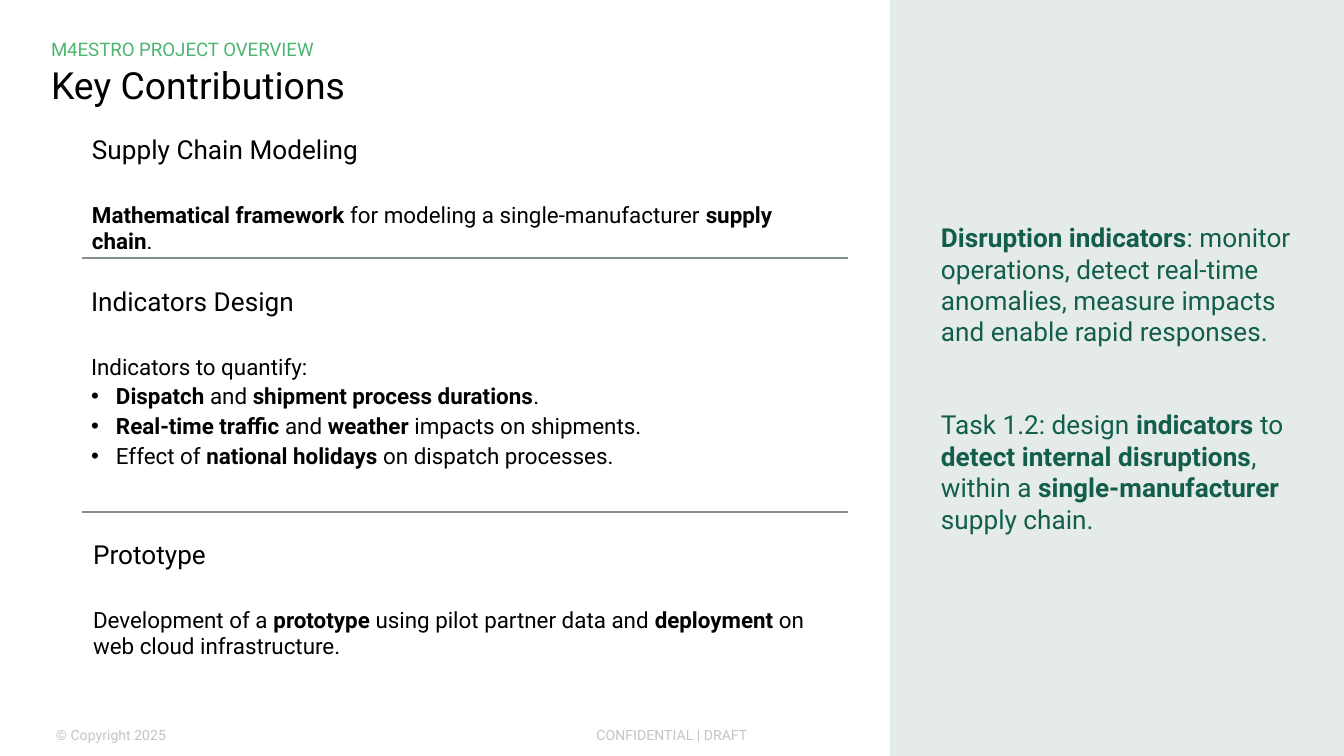
from lxml.etree import SubElement
from pptx import Presentation
from pptx.dml.color import RGBColor
from pptx.enum.shapes import MSO_CONNECTOR, MSO_SHAPE
from pptx.enum.text import MSO_ANCHOR, MSO_AUTO_SIZE, PP_ALIGN
from pptx.oxml.ns import qn
from pptx.util import Pt

WIDE, HIGH = 1344, 756
SCALE = 9144000 / WIDE
BLACK, GREY, GREEN, DARK, PALE = "000000", "838E8D", "4CB571", "125E4B", "E5EBE9"
PARTS = [
    ((82, 132, 766, 101), "Supply Chain Modeling",
     "**Mathematical framework** for modeling a single-manufacturer **supply chain**.", []),
    ((81, 284, 769, 204), "Indicators Design", "Indicators to quantify:", [
        "**Dispatch** and **shipment process durations**.",
        "**Real-time traffic** and **weather** impacts on shipments.",
        "Effect of **national holidays** on dispatch processes."]),
    ((83, 537, 769, 145), "Prototype",
     "Development of a **prototype** using pilot partner data and "
     "**deployment** on web cloud infrastructure.", []),
]
SIDE = [
    "**Disruption indicators**: monitor operations, detect real-time anomalies, "
    "measure impacts and enable rapid responses.",
    "Task 1.2: design **indicators** to **detect internal disruptions**, "
    "within a **single-manufacturer** supply chain.",
]


def px(size):
    """Turn px into EMU."""
    return round(size * SCALE)


def tint(code):
    """Turn a hex string into a colour."""
    return RGBColor.from_string(code)


def frame(shape, pad, anchor=MSO_ANCHOR.MIDDLE):
    """Set the insets and anchor of a shape and return its text frame."""
    body = shape.text_frame
    body.word_wrap = True
    body.auto_size = MSO_AUTO_SIZE.NONE
    body.vertical_anchor = anchor
    body.margin_left, body.margin_top, body.margin_right, body.margin_bottom = map(px, pad)
    return body


def write(body, text, size=12, color=BLACK, align=PP_ALIGN.LEFT, lead=1.0,
          after=0, bullet=False, alpha=None):
    """Add a paragraph in which ** marks off bold runs."""
    first = body.paragraphs[0]
    para = body.add_paragraph() if first.runs else first
    para.alignment, para.line_spacing = align, lead
    para.space_before, para.space_after = Pt(0), Pt(after)
    if bullet:
        props = para._p.get_or_add_pPr()
        props.set("marL", str(px(25)))
        props.set("indent", str(-px(25)))
        ink = SubElement(props, qn("a:buClr"))
        SubElement(ink, qn("a:srgbClr")).set("val", color)
        SubElement(props, qn("a:buFont")).set("typeface", "Arial")
        SubElement(props, qn("a:buChar")).set("char", "•")
    for turn, piece in enumerate(text.split("**")):
        if piece:
            run = para.add_run()
            run.text = piece
            font = run.font
            font.name, font.size, font.bold = "Roboto", Pt(size), turn % 2 == 1
            font.color.rgb = tint(color)
            if alpha:
                ink = run._r.rPr.find(".//" + qn("a:srgbClr"))
                SubElement(ink, qn("a:alpha")).set("val", str(alpha * 1000))


def area(slide, box, pad, anchor=MSO_ANCHOR.MIDDLE):
    """Add a text box and return its text frame."""
    return frame(slide.shapes.add_textbox(*map(px, box)), pad, anchor)


def header(slide, box):
    """Place the tag line and the title below it."""
    left, top, width, height = box
    tag = area(slide, (left, top, width, 23), (0, 0, 10, 0))
    write(tag, "M4ESTRO PROJECT OVERVIEW", size=10, color=GREEN)
    title = slide.shapes.title
    title.left, title.top = px(left), px(top + 22)
    title.width, title.height = px(width), px(height - 22)
    write(frame(title, (0, 5, 0, 5)), "Key Contributions", size=20, lead=0.9)


def part(slide, box, head, text, points):
    """Place a heading, its text and its bullet points."""
    body = area(slide, box, (10, 5, 10, 0), MSO_ANCHOR.TOP)
    write(body, head, size=14, lead=0.9, after=19)
    write(body, text, after=3)
    for point in points:
        write(body, point, lead=0.9, after=3, bullet=True)


def rule(slide, left, top, width):
    """Draw a thin level line."""
    line = slide.shapes.add_connector(
        MSO_CONNECTOR.STRAIGHT, px(left), px(top), px(left + width), px(top))
    line.line.color.rgb = tint(GREY)
    line.line.width = Pt(0.75)
    SubElement(line._element.spPr, qn("a:effectLst"))


def panel(slide, box):
    """Place the tinted side panel with its text."""
    shape = slide.shapes.add_shape(MSO_SHAPE.RECTANGLE, *map(px, box))
    shape.shadow.inherit = False
    shape.fill.solid()
    shape.fill.fore_color.rgb = tint(PALE)
    shape.line.fill.background()
    body = frame(shape, (51, 10, 40, 10))
    for text, after in zip(SIDE, (33, 0)):
        write(body, text, size=14, color=DARK, after=after)


def footer(slide, box):
    """Place the copyright line and the centred status."""
    left, top, width, height = box
    for text, start, span, align in (
            ("CONFIDENTIAL | DRAFT", 394, width - 394, PP_ALIGN.CENTER),
            ("© Copyright 2025", 0, 399, PP_ALIGN.LEFT)):
        body = area(slide, (left + start, top, span, height), (5, 5, 5, 5))
        write(body, text, size=7.5, color=GREY, align=align, alpha=50)


def main():
    """Build the slide and save it."""
    deck = Presentation()
    deck.slide_width, deck.slide_height = px(WIDE), px(HIGH)
    slide = deck.slides.add_slide(deck.slide_layouts[5])
    footer(slide, (51, 721, 848, 28))
    header(slide, (51, 38, 1243, 77))
    panel(slide, (890, 0, 454, HIGH))
    for box, head, text, points in PARTS:
        part(slide, box, head, text, points)
    for top in (258, 512):
        rule(slide, 82, top, 766)
    deck.save("out.pptx")


if __name__ == "__main__":
    main()
